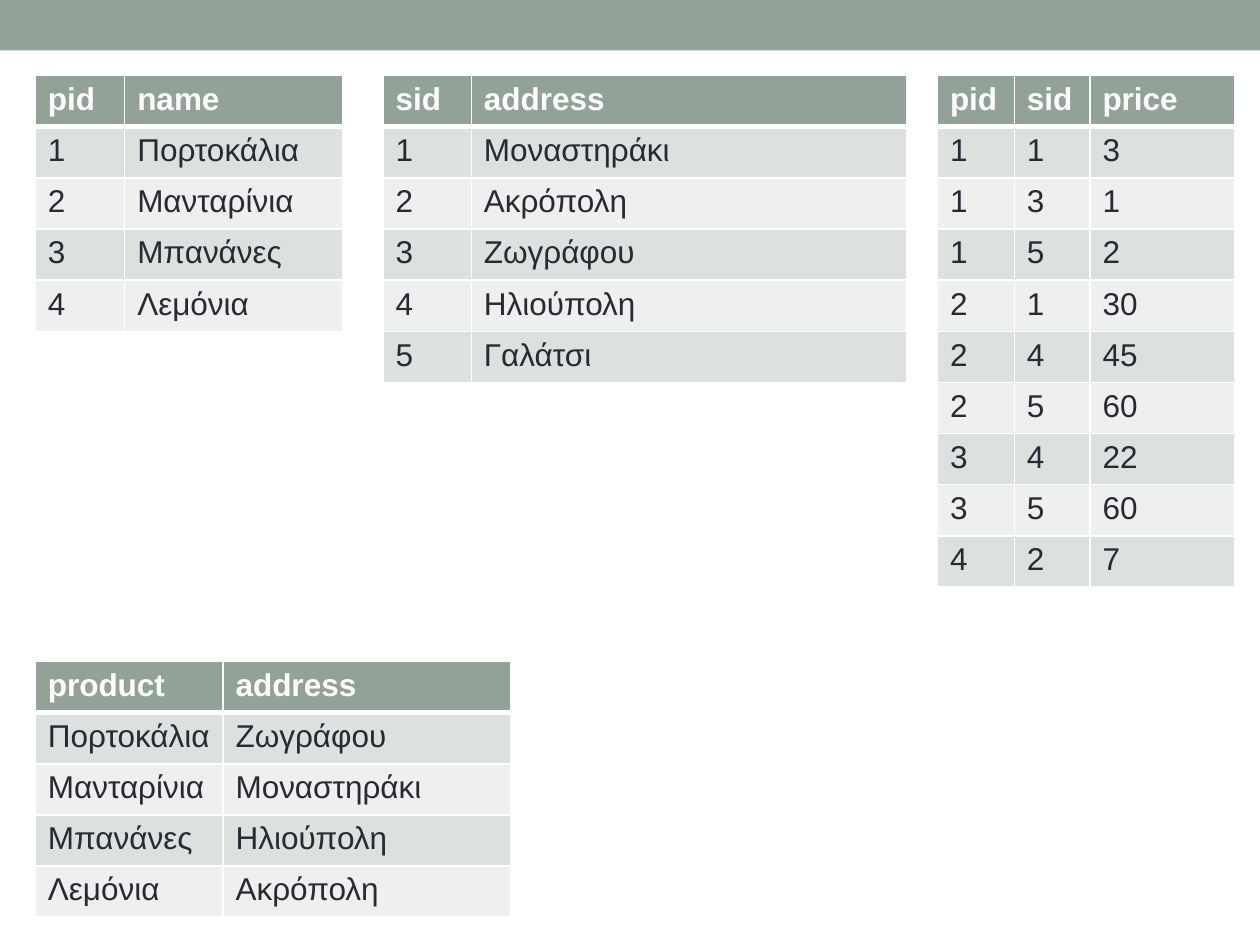
from lxml import etree
from pptx import Presentation
from pptx.dml.color import RGBColor
from pptx.enum.shapes import MSO_SHAPE
from pptx.oxml.ns import qn
from pptx.util import Inches, Pt

RECTANGLE = MSO_SHAPE.RECTANGLE
BLANK_LAYOUT = 6
SAGE = "93A299"
WHITE = "FFFFFF"
INK = "292934"
BANDS = ["DCE0DE", "EEF0EF"]
ROW_HEIGHT = Inches(2.03) // 5


def set_color(fill, color):
    fill.solid()
    fill.fore_color.rgb = RGBColor.from_string(color)


def set_borders(cell, row_number):
    """Draw white cell borders, thicker between the header and the body."""
    properties = cell._tc.get_or_add_tcPr()
    widths = {
        "lnL": 1,
        "lnR": 1,
        "lnT": 3 if row_number == 1 else 1,
        "lnB": 3 if row_number == 0 else 1,
    }
    for side, width in widths.items():
        line = etree.SubElement(properties, qn("a:" + side), w=str(Pt(width)))
        fill = etree.SubElement(line, qn("a:solidFill"))
        etree.SubElement(fill, qn("a:srgbClr"), val=WHITE)


products = [
    ["pid", "name"],
    ["1", "Πορτοκάλια"],
    ["2", "Μανταρίνια"],
    ["3", "Μπανάνες"],
    ["4", "Λεμόνια"],
]
stores = [
    ["sid", "address"],
    ["1", "Μοναστηράκι"],
    ["2", "Ακρόπολη"],
    ["3", "Ζωγράφου"],
    ["4", "Ηλιούπολη"],
    ["5", "Γαλάτσι"],
]
prices = [
    ["pid", "sid", "price"],
    ["1", "1", "3"],
    ["1", "3", "1"],
    ["1", "5", "2"],
    ["2", "1", "30"],
    ["2", "4", "45"],
    ["2", "5", "60"],
    ["3", "4", "22"],
    ["3", "5", "60"],
    ["4", "2", "7"],
]
product_addresses = [
    ["product", "address"],
    ["Πορτοκάλια", "Ζωγράφου"],
    ["Μανταρίνια", "Μοναστηράκι"],
    ["Μπανάνες", "Ηλιούπολη"],
    ["Λεμόνια", "Ακρόπολη"],
]

# Left, top, column widths and rows of each table
tables = [
    (0.28, 0.6, [0.71, 1.73], products),
    (3.04, 0.6, [0.7, 3.46], stores),
    (7.44, 0.6, [0.61, 0.6, 1.15], prices),
    (0.28, 5.25, [1.49, 2.28], product_addresses),
]

presentation = Presentation()
presentation.slide_width = Inches(10)
presentation.slide_height = Inches(7.5)
slide = presentation.slides.add_slide(presentation.slide_layouts[BLANK_LAYOUT])
set_color(slide.background.fill, WHITE)

top_band = slide.shapes.add_shape(RECTANGLE, 0, 0, Inches(10), Inches(0.4))
top_band.shadow.inherit = False
set_color(top_band.fill, SAGE)
top_band.line.fill.background()

for left, top, column_widths, rows in tables:
    table = slide.shapes.add_table(
        len(rows), len(column_widths), Inches(left), Inches(top),
        Inches(sum(column_widths)), ROW_HEIGHT * len(rows),
    ).table
    for column, width in zip(table.columns, column_widths):
        column.width = Inches(width)

    for row_number, values in enumerate(rows):
        is_header = row_number == 0
        table.rows[row_number].height = ROW_HEIGHT
        for column_number, value in enumerate(values):
            cell = table.cell(row_number, column_number)
            set_borders(cell, row_number)
            set_color(cell.fill, SAGE if is_header else BANDS[(row_number - 1) % 2])
            run = cell.text_frame.paragraphs[0].add_run()
            run.text = value
            run.font.name = "Arial"
            run.font.size = Pt(18)
            run.font.bold = is_header
            set_color(run.font.fill, WHITE if is_header else INK)

presentation.save("out.pptx")
